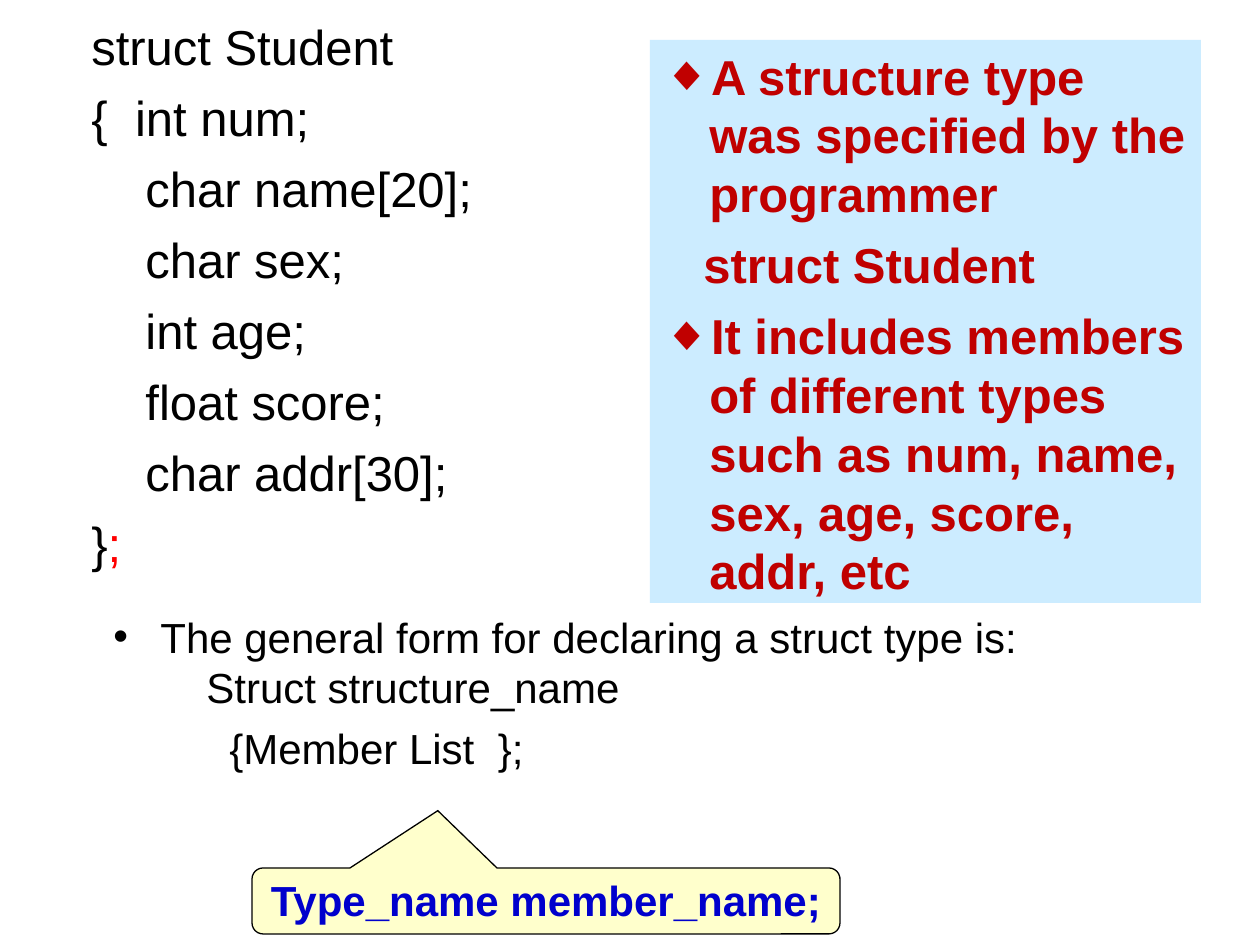
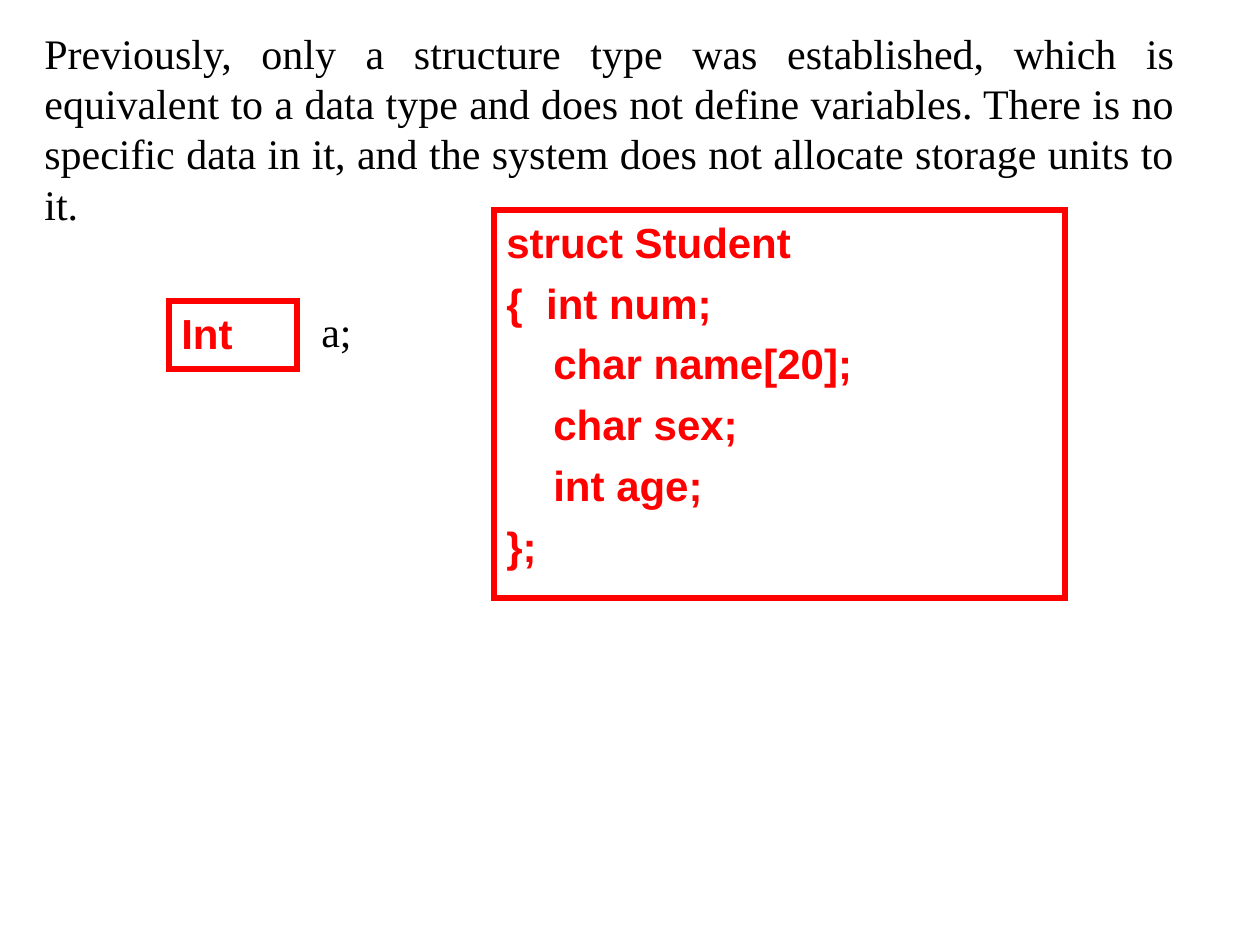
from dataclasses import dataclass
from typing import Optional

from lxml import etree
from pptx import Presentation
from pptx import util as u
from pptx.dml.color import RGBColor
from pptx.enum import shapes, text
from pptx.oxml.ns import qn

PX = u.Inches(1) / 126
LINE_HEIGHT = 1.2
SPACE_WIDTH = 0.28
HANGING = 47
COLORS = {
    "ink": "000000",
    "red": "FF0000",
    "crimson": "C00000",
    "blue": "0000CC",
    "sky": "CCECFF",
    "cream": "FFFFCC",
}
RECT = shapes.MSO_SHAPE.RECTANGLE
CALLOUT = shapes.MSO_SHAPE.ROUNDED_RECTANGULAR_CALLOUT
ALIGN = text.PP_ALIGN


@dataclass(frozen=True)
class Style:
    size: int
    color: str = "ink"
    bold: bool = False
    font: str = "Arial"
    before: int = 6
    align: ALIGN = ALIGN.LEFT


@dataclass(frozen=True)
class Span:
    words: str
    color: Optional[str] = None
    wide: bool = False


@dataclass(frozen=True)
class Line:
    spans: tuple[Span, ...]
    margin: int = 0
    first: int = 0
    bullet: Optional[str] = None
    before: Optional[int] = None


@dataclass(frozen=True)
class Box:
    left: int
    top: int
    width: int
    height: int
    style: Style
    lines: tuple[Line, ...]
    shape: Optional[shapes.MSO_SHAPE] = None
    fill: Optional[str] = None
    border: Optional[str] = None
    weight: float = 3
    adjustments: tuple[float, ...] = ()
    anchor: text.MSO_ANCHOR = text.MSO_ANCHOR.TOP
    wrap: bool = True


def px(length: int) -> u.Emu:
    return u.Emu(round(length * PX))


def rgb(name: str) -> RGBColor:
    return RGBColor.from_string(COLORS[name])


def plain(words: str, first: int = 0, before: Optional[int] = None) -> Line:
    return Line((Span(words),), first=first, before=before)


def gapped(start: str, end: str, first: int = 0) -> Line:
    return Line((Span(start), Span(" ", wide=True), Span(end)), first=first)


def bulleted(words: str, bullet: str) -> Line:
    return Line((Span(words),), margin=HANGING, first=-HANGING, bullet=bullet)


def struct_code(members: tuple[str, ...], indent: int,
                ending: Line) -> tuple[Line, ...]:
    opening = (plain("struct Student"), gapped("{", "int num;"))
    return opening + tuple(plain(member, indent) for member in members) + (ending,)


def add_bullet(props: etree._Element, bullet: str, color: str) -> None:
    paint = etree.SubElement(props, qn("a:buClr"))
    etree.SubElement(paint, qn("a:srgbClr"), val=COLORS[color])
    etree.SubElement(props, qn("a:buFont"), typeface="Arial")
    etree.SubElement(props, qn("a:buChar"), char=bullet)


def write_span(para, part: Span, style: Style) -> None:
    span = para.add_run()
    span.text = part.words
    span.font.name = style.font
    span.font.size = u.Pt(style.size)
    span.font.bold = style.bold
    span.font.color.rgb = rgb(part.color or style.color)
    if part.wide:
        span.font._element.set("spc", str(round(style.size * SPACE_WIDTH * 100)))


def write_line(para, line: Line, style: Style) -> None:
    para.alignment = style.align
    para.line_spacing = u.Pt(style.size * LINE_HEIGHT)
    para.space_before = u.Pt(style.before if line.before is None else line.before)
    props = para._p.get_or_add_pPr()
    props.set("marL", str(px(line.margin)))
    props.set("indent", str(px(line.first)))
    if line.bullet:
        add_bullet(props, line.bullet, style.color)
    else:
        etree.SubElement(props, qn("a:buNone"))
    for part in line.spans:
        write_span(para, part, style)


def paint_shape(shape, box: Box) -> None:
    shape.shadow.inherit = False
    if box.fill:
        shape.fill.solid()
        shape.fill.fore_color.rgb = rgb(box.fill)
    else:
        shape.fill.background()
    if box.border:
        shape.line.color.rgb = rgb(box.border)
        shape.line.width = u.Pt(box.weight)
        outline = shape.line._get_or_add_ln()
        etree.SubElement(outline, qn("a:miter"), lim="800000")
    else:
        shape.line.fill.background()
    for index, value in enumerate(box.adjustments):
        shape.adjustments[index] = value


def draw_box(page, box: Box) -> None:
    area = [px(v) for v in (box.left, box.top, box.width, box.height)]
    if box.shape is None:
        shape = page.shapes.add_textbox(*area)
    else:
        shape = page.shapes.add_shape(box.shape, *area)
        paint_shape(shape, box)
    frame = shape.text_frame
    frame.word_wrap = box.wrap
    frame.vertical_anchor = box.anchor
    frame.auto_size = text.MSO_AUTO_SIZE.NONE
    for index, line in enumerate(box.lines):
        para = frame.add_paragraph() if index else frame.paragraphs[0]
        write_line(para, line, box.style)


CODE = Style(28, before=7)
NOTE = Style(28, "crimson", bold=True, before=7)
BODY = Style(24)
TYPE = Style(24, "red", bold=True)
LABEL = Style(24, "blue", bold=True, before=0, align=ALIGN.CENTER)
PROSE = Style(24, font="Times New Roman", align=ALIGN.JUSTIFY)
VARIABLE = Style(24, font="Times New Roman", before=0)

MEMBERS = ("char name[20];", "char sex;", "int age;")

DECLARATION = (
    Box(79, 10, 571, 610, CODE,
        struct_code(MEMBERS + ("float score;", "char addr[30];"), 54,
                    Line((Span("}"), Span(";", "red"))))),
    Box(650, 40, 551, 563, NOTE, (
        bulleted("A structure type was specified by the programmer", "◆"),
        plain("struct Student", first=41),
        bulleted("It includes members of different types such as num, name, "
                 "sex, age, score, addr, etc", "◆"),
    ), shape=RECT, fill="sky"),
    Box(101, 605, 1014, 315, BODY, (
        bulleted("The general form for declaring a struct type is:", "•"),
        plain("Struct structure_name", first=93, before=0),
        gapped("{Member List", "};", first=116),
    )),
    Box(252, 868, 588, 66, LABEL, (plain("Type_name member_name;"),),
        shape=CALLOUT, fill="cream", border="ink", weight=0.75,
        adjustments=(-0.184, -1.369, 0.167),
        anchor=text.MSO_ANCHOR.BOTTOM, wrap=False),
)

TYPE_AND_VARIABLE = (
    Box(32, 21, 1155, 242, PROSE, (
        plain("Previously, only a structure type was established, which is "
              "equivalent to a data type and does not define variables. "
              "There is no specific data in it, and the system does not "
              "allocate storage units to it."),
    )),
    Box(494, 210, 571, 388, TYPE, struct_code(MEMBERS, 47, plain("};")),
        shape=RECT, border="red"),
    Box(169, 301, 128, 68, TYPE, (plain("Int"),), shape=RECT, border="red"),
    Box(309, 299, 64, 63, VARIABLE, (plain("a;"),)),
)


def main() -> None:
    deck = Presentation()
    deck.slide_width = px(1260)
    deck.slide_height = px(945)
    for boxes in (DECLARATION, TYPE_AND_VARIABLE):
        page = deck.slides.add_slide(deck.slide_layouts[6])
        for box in boxes:
            draw_box(page, box)
    deck.save("out.pptx")


if __name__ == "__main__":
    main()
